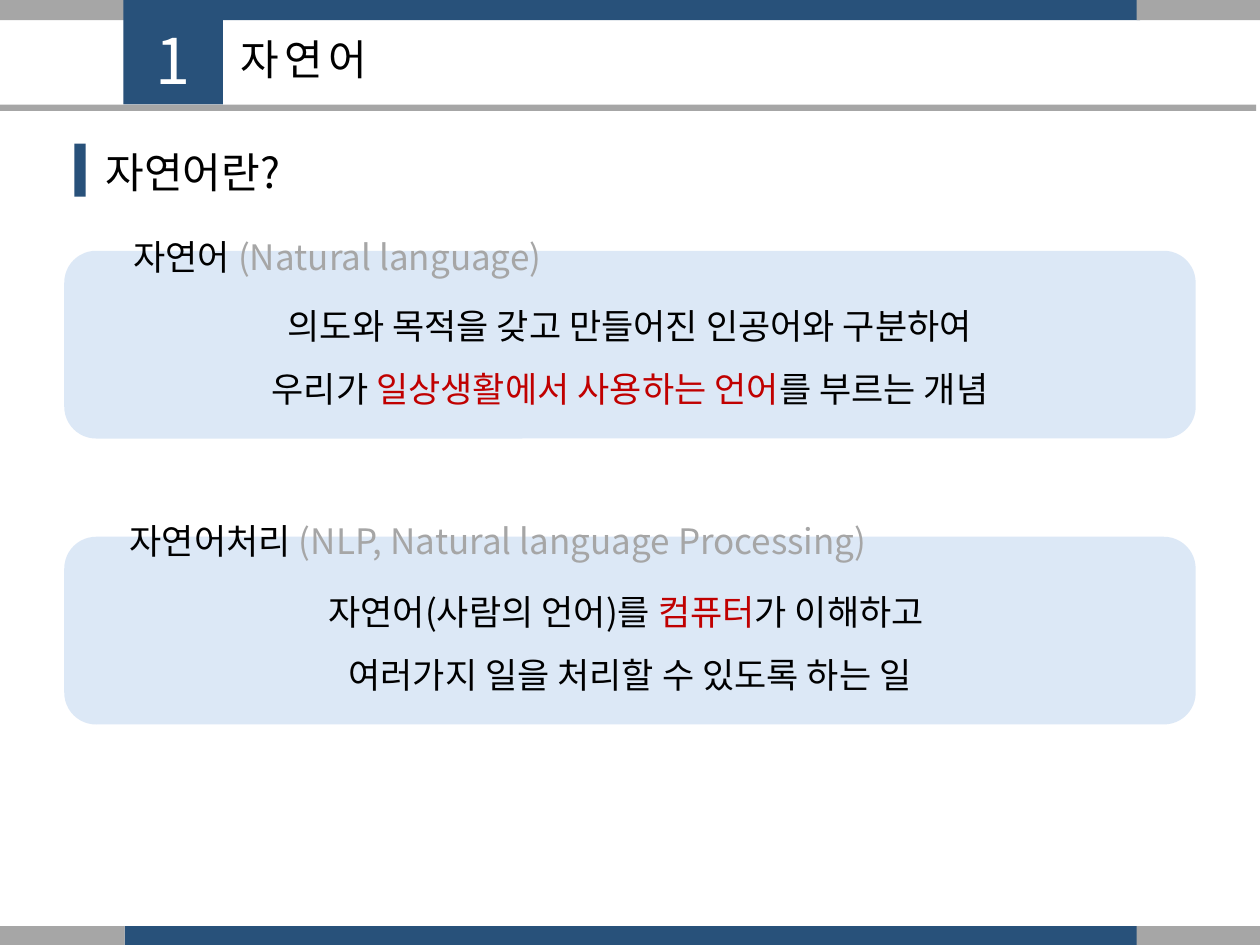
from pptx import Presentation
from pptx.util import Inches, Pt
from pptx.dml.color import RGBColor
from pptx.enum.shapes import MSO_SHAPE
from pptx.enum.text import PP_ALIGN
from pptx.oxml.ns import qn
from lxml.etree import SubElement

FONT = "Noto Sans CJK KR"
NAVY, GRAY, PALE = "28517A", "A6A6A6", "C6D9F1"
BLACK, WHITE, RED = "000000", "FFFFFF", "C00000"

deck = Presentation()
deck.slide_width, deck.slide_height = Inches(10), Inches(7.5)
slide = deck.slides.add_slide(deck.slide_layouts[6])


def block(x, y, w, h, color, kind=MSO_SHAPE.RECTANGLE, alpha=None):
    shape = slide.shapes.add_shape(kind, Inches(x), Inches(y), Inches(w), Inches(h))
    shape.shadow.inherit = False
    shape.fill.solid()
    shape.fill.fore_color.rgb = RGBColor.from_string(color)
    shape.line.fill.background()
    if alpha:
        tone = shape.fill._xPr.find(qn("a:solidFill"))[0]
        SubElement(tone, qn("a:alpha")).set("val", str(alpha * 1000))
    return shape


def write(lines, x, y, w, h, size=20, align=PP_ALIGN.LEFT, lead=None, track=None):
    frame = slide.shapes.add_textbox(Inches(x), Inches(y), Inches(w), Inches(h)).text_frame
    frame.word_wrap = True
    for i, line in enumerate(lines):
        para = frame.paragraphs[0] if i == 0 else frame.add_paragraph()
        para.alignment = align
        if lead:
            para.line_spacing = lead
        for text, color in line:
            run = para.add_run()
            run.text = text
            run.font.size = Pt(size)
            run.font.name = FONT
            run.font.color.rgb = RGBColor.from_string(color)
            props = run.font._element
            SubElement(props, qn("a:ea")).set("typeface", FONT)
            if track:
                props.set("spc", str(track * 100))


for y in (0, 7.35):
    block(0.99, y, 8.06, 0.16, NAVY)
    block(0, y, 0.99, 0.16, GRAY)
    block(9.02, y, 0.98, 0.16, GRAY)

block(0.98, 0, 0.79, 0.83, NAVY)
write([[("자연어", BLACK)]], 1.81, 0.22, 5.51, 0.5, size=24, track=3)
block(-0.05, 0.83, 10.02, 0.05, GRAY)
write([[("1", WHITE)]], 0.94, 0.12, 0.87, 0.71, size=36, align=PP_ALIGN.CENTER, track=3)

write([[("자연어란?", BLACK)]], 0.74, 1.11, 3.94, 0.5, size=24)
block(0.59, 1.14, 0.09, 0.42, NAVY)

cards = [
    (1.99, (0.28, 1.65, 4.8, 0.56),
     [("자연어 ", BLACK), ("(Natural language)", GRAY)],
     [[("의도와 목적을 갖고 만들어진 인공어와 구분하여", BLACK)],
      [("우리가 ", BLACK), ("일상생활에서 사용하는 언어", RED), ("를 부르는 개념", BLACK)]]),
    (4.26, (0.22, 3.91, 7.47, 0.56),
     [("자연어처리 ", BLACK), ("(NLP, Natural language Processing)", GRAY)],
     [[("자연어(사람의 언어)를 ", BLACK), ("컴퓨터", RED), ("가 이해하고 ", BLACK)],
      [("여러가지 일을 처리할 수 있도록 하는 일", BLACK)]]),
]
for top, spot, title, body in cards:
    card = block(0.51, top, 8.98, 1.49, PALE, MSO_SHAPE.ROUNDED_RECTANGLE, alpha=60)
    card.adjustments[0] = 0.17
    write(body, 1.34, top + 0.21, 7.32, 1.06, align=PP_ALIGN.CENTER, lead=1.5)
    write([title], *spot, align=PP_ALIGN.CENTER, lead=1.5)

deck.save("out.pptx")
